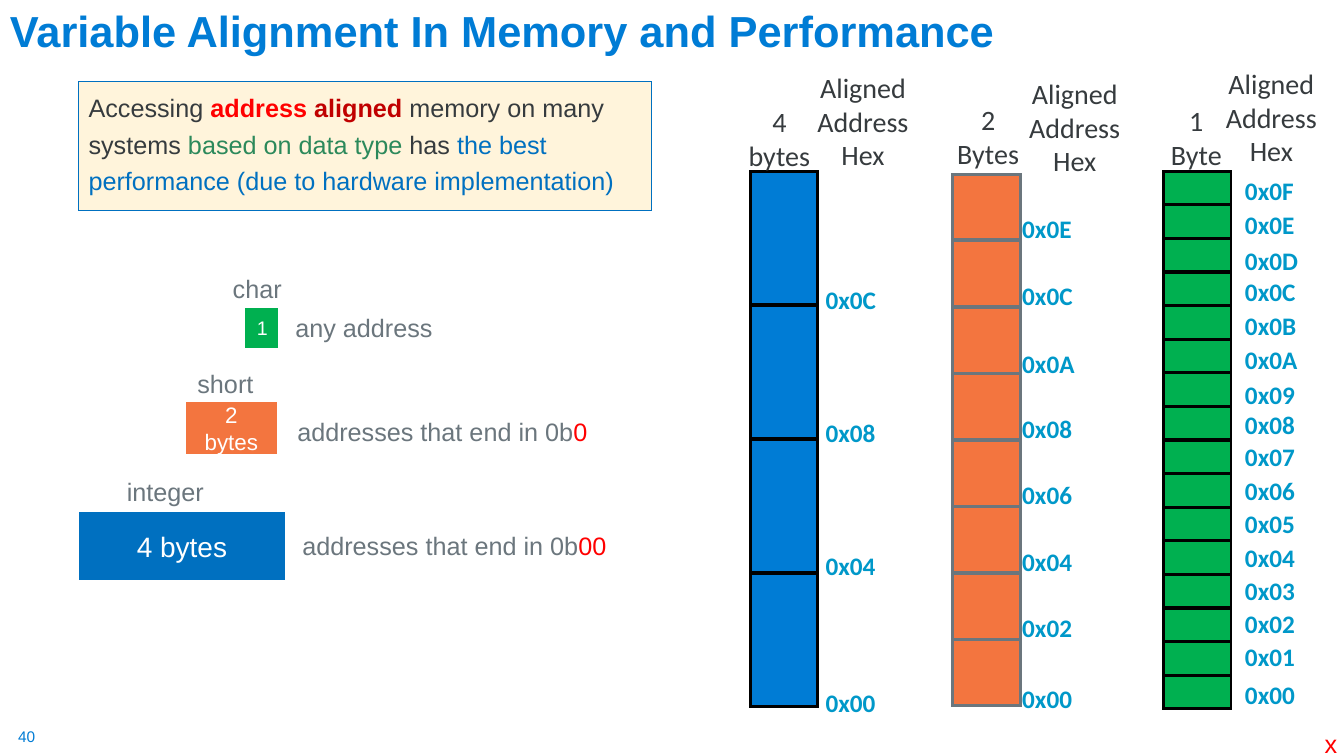
from lxml import etree
from pptx import Presentation
from pptx.dml.color import RGBColor
from pptx.enum.shapes import MSO_SHAPE
from pptx.enum.text import MSO_ANCHOR, PP_ALIGN
from pptx.oxml.ns import qn
from pptx.util import Inches, Pt

BLUE = RGBColor(0x00, 0x7C, 0xD5)
DEEP_BLUE = RGBColor(0x00, 0x70, 0xC0)
ADDRESS_BLUE = RGBColor(0x00, 0x98, 0xC9)
ORANGE = RGBColor(0xF3, 0x75, 0x3F)
GREEN = RGBColor(0x00, 0xB0, 0x50)
SEA_GREEN = RGBColor(0x2C, 0x89, 0x5B)
RED = RGBColor(0xFF, 0x00, 0x00)
DARK_RED = RGBColor(0xC0, 0x00, 0x00)
CREAM = RGBColor(0xFF, 0xF4, 0xDB)
DARK = RGBColor(0x36, 0x3B, 0x3E)
GREY = RGBColor(0x6B, 0x76, 0x7D)
BLACK = RGBColor(0x00, 0x00, 0x00)
WHITE = RGBColor(0xFF, 0xFF, 0xFF)

# Bytes per cell, cell box (left, top, width, height), pitch, fill, line,
# caption lines with box, heading position,
# label left and label tops from address 0 upwards
MEMORY_COLUMNS = [
    (4, (7.44, 1.7, 0.67, 1.32), 1.33, BLUE, BLACK,
     ("4", "bytes"), (7.32, 0.99, 0.82, 0.77), (7.93, 0.65),
     8.09, [6.77, 5.41, 4.09, 2.77]),
    (2, (9.45, 1.73, 0.67, 0.65), 0.66, ORANGE, GREY,
     ("2", "Bytes"), (9.39, 0.97, 0.82, 0.77), (10.03, 0.71),
     10.04, [6.73, 6.03, 5.37, 4.71, 4.05, 3.41, 2.73, 2.07]),
    (1, (11.54, 1.7, 0.67, 0.33), 1 / 3, GREEN, BLACK,
     ("1", "Byte"), (11.51, 0.98, 0.71, 0.77), (11.98, 0.61),
     12.25, [6.69, 6.31, 5.99, 5.66, 5.33, 4.99, 4.67, 4.33,
             4.01, 3.71, 3.37, 3.03, 2.69, 2.38, 2.03, 1.69]),
]

# Type name and box, block text, size, box and colour, rule, red ending and box
DATA_TYPES = [
    ("char", (2.21, 2.66, 0.69, 0.4),
     "1", 14, (2.45, 3.07, 0.29, 0.37), GREEN,
     "any address", "", (2.83, 3.05, 1.58, 0.4)),
    ("short", (1.86, 3.61, 0.76, 0.4),
     "2 bytes", 16, (1.86, 4.01, 0.87, 0.48), ORANGE,
     "addresses that end in 0b", "0", (2.85, 4.08, 3.11, 0.4)),
    ("integer", (1.16, 4.68, 0.97, 0.4),
     "4 bytes", 20, (0.8, 5.1, 2.01, 0.64), DEEP_BLUE,
     "addresses that end in 0b", "00", (2.9, 5.21, 3.25, 0.4)),
]


def add_runs(paragraph, runs, size, font="Arial"):
    """Append (text, colour, bold) runs to a paragraph."""
    for text, colour, bold in runs:
        run = paragraph.add_run()
        run.text = text
        run.font.name = font
        run.font.size = Pt(size)
        run.font.color.rgb = colour
        run.font.bold = bold


def add_rect(slide, box, fill, line, line_width):
    """Add a filled rectangle whose outline has sharp corners."""
    rect = slide.shapes.add_shape(MSO_SHAPE.RECTANGLE, *map(Inches, box))
    rect.shadow.inherit = False
    rect.fill.solid()
    rect.fill.fore_color.rgb = fill
    rect.line.color.rgb = line
    rect.line.width = Pt(line_width)
    outline = rect.element.spPr.find(qn("a:ln"))
    etree.SubElement(outline, qn("a:miter")).set("lim", "800000")
    return rect


def add_text(slide, box, lines, size, font="Arial", align=PP_ALIGN.LEFT, wrap=False):
    """Add a text box; each line is a list of (text, colour, bold) runs."""
    frame = slide.shapes.add_textbox(*map(Inches, box)).text_frame
    frame.word_wrap = wrap
    for index, runs in enumerate(lines):
        paragraph = frame.add_paragraph() if index else frame.paragraphs[0]
        paragraph.alignment = align
        add_runs(paragraph, runs, size, font)
    return frame


def add_title(slide):
    title = add_text(slide, (0, 0.18, 10.41, 0.43),
                     [[("Variable Alignment In Memory and Performance", BLUE, True)]],
                     31, wrap=True)
    title.vertical_anchor = MSO_ANCHOR.BOTTOM
    title.paragraphs[0].line_spacing = 0.9


def add_summary(slide):
    summary = add_rect(slide, (0.78, 0.81, 5.68, 1.28), CREAM, DEEP_BLUE, 0.75).text_frame
    summary.word_wrap = True
    summary.vertical_anchor = MSO_ANCHOR.TOP
    paragraph = summary.paragraphs[0]
    paragraph.alignment = PP_ALIGN.LEFT
    paragraph.line_spacing = 1.2
    add_runs(paragraph, [
        ("Accessing ", DARK, False),
        ("address ", RED, True),
        ("aligned ", DARK_RED, True),
        ("memory on many systems ", DARK, False),
        ("based on data type", SEA_GREEN, False),
        (" has ", DARK, False),
        ("the best performance (due to hardware implementation)", DEEP_BLUE, False),
    ], 18)


def add_data_type(slide, name, name_box, size_text, font_size, block_box, colour,
                  rule, ending, rule_box):
    add_text(slide, name_box, [[(name, GREY, False)]], 18)
    block = add_rect(slide, block_box, colour, colour, 2.5).text_frame
    block.word_wrap = True
    block.vertical_anchor = MSO_ANCHOR.MIDDLE
    block.paragraphs[0].alignment = PP_ALIGN.CENTER
    add_runs(block.paragraphs[0], [(size_text, WHITE, False)], font_size)
    rule_runs = [(rule, GREY, False)]
    if ending:
        rule_runs.append((ending, RED, False))
    add_text(slide, rule_box, [rule_runs], 18)


def add_centred_lines(slide, box, lines, wrap):
    add_text(slide, box, [[(line, DARK, False)] for line in lines],
             20, "Calibri", PP_ALIGN.CENTER, wrap)


def add_memory_column(slide, cell_bytes, cell_box, pitch, fill, line, caption,
                      caption_box, heading_at, label_left, label_tops):
    left, top, width, height = cell_box
    for index, label_top in enumerate(label_tops):
        add_rect(slide, (left, top + index * pitch, width, height), fill, line, 2)
        address = f"0x{index * cell_bytes:02X}"
        add_text(slide, (label_left, label_top, 0.8, 0.4),
                 [[(address, ADDRESS_BLUE, True)]], 18, "Calibri")
    add_centred_lines(slide, caption_box, caption, wrap=False)
    add_centred_lines(slide, (*heading_at, 1.26, 1.11), ("Aligned Address", "Hex"), wrap=True)


def add_footer(slide):
    number = add_text(slide, (0.18, 7.21, 0.19, 0.19), [[("40", BLUE, False)]], 11)
    number.margin_left = number.margin_right = 0
    number.margin_top = number.margin_bottom = 0
    add_text(slide, (13.04, 7.18, 0.33, 0.4), [[("x", RED, False)]], 18)


def main():
    presentation = Presentation()
    presentation.slide_width = Inches(13.33)
    presentation.slide_height = Inches(7.5)
    slide = presentation.slides.add_slide(presentation.slide_layouts[6])
    add_title(slide)
    add_summary(slide)
    for data_type in DATA_TYPES:
        add_data_type(slide, *data_type)
    for column in MEMORY_COLUMNS:
        add_memory_column(slide, *column)
    add_footer(slide)
    presentation.save("out.pptx")


if __name__ == "__main__":
    main()
